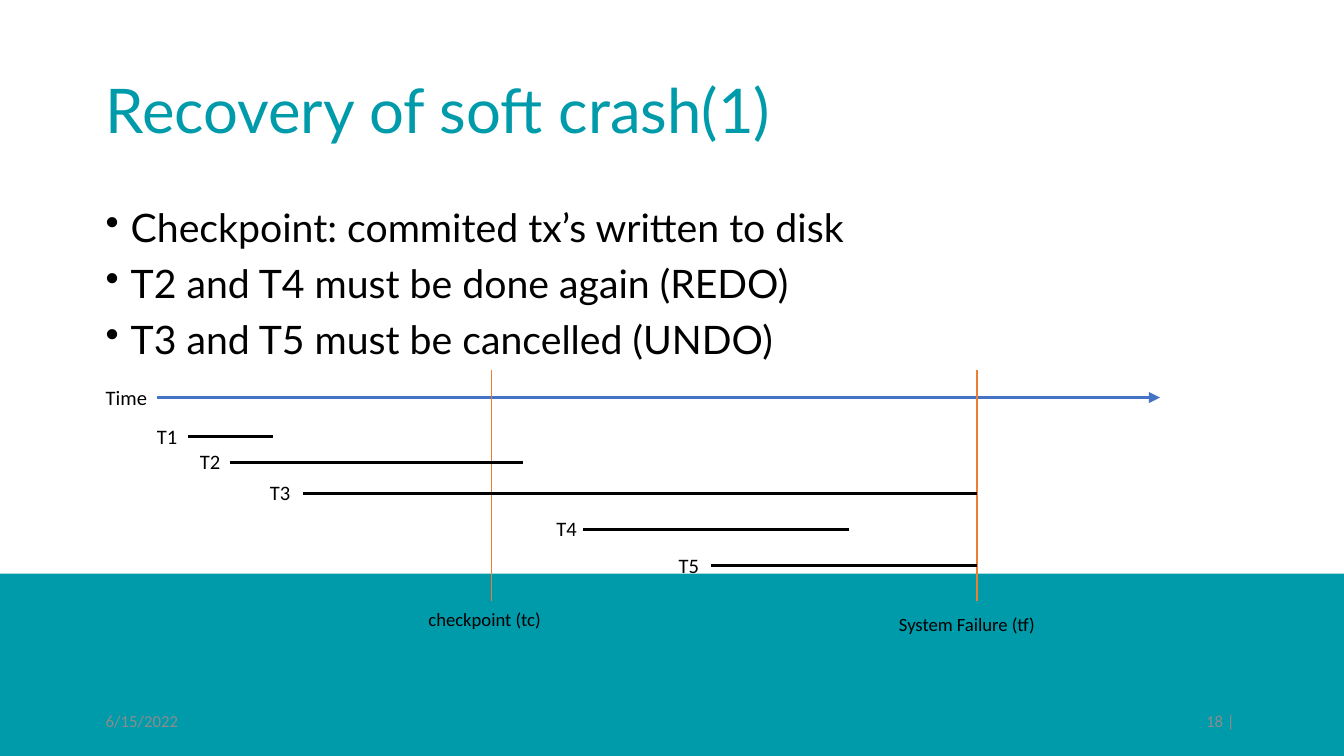
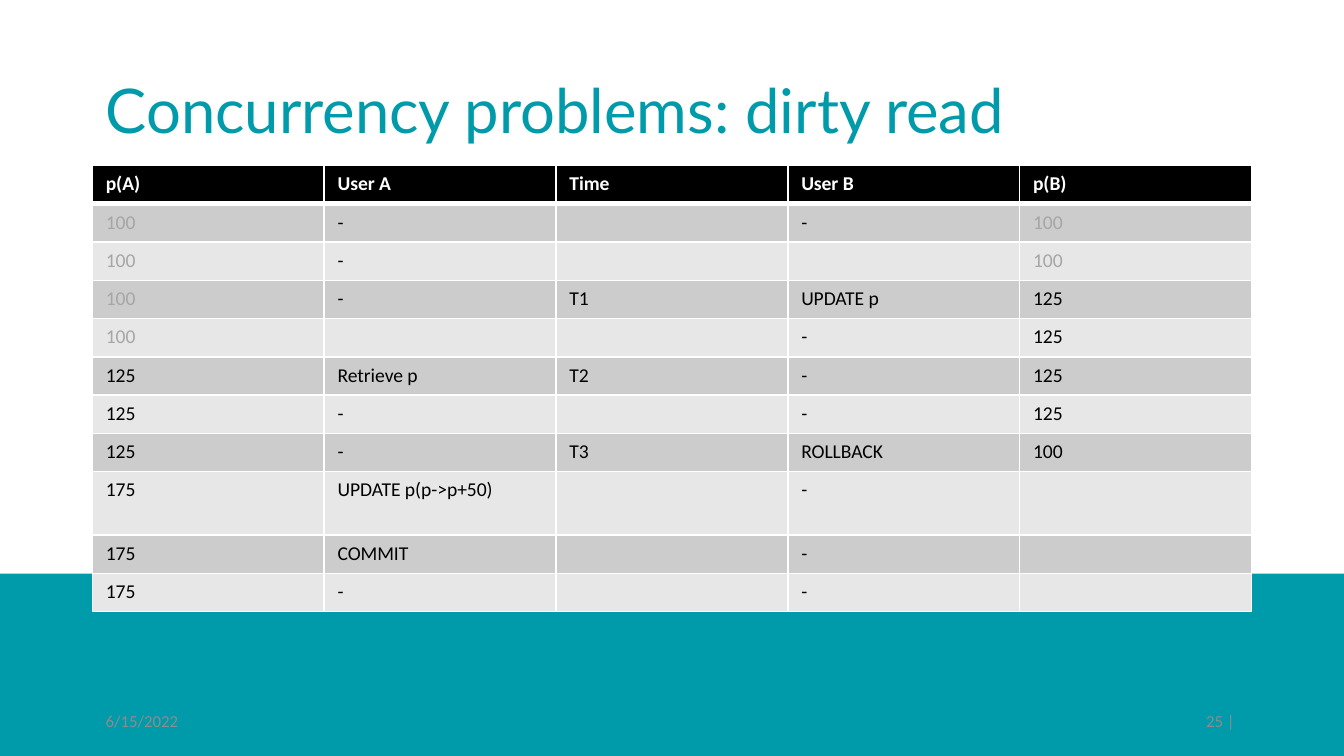
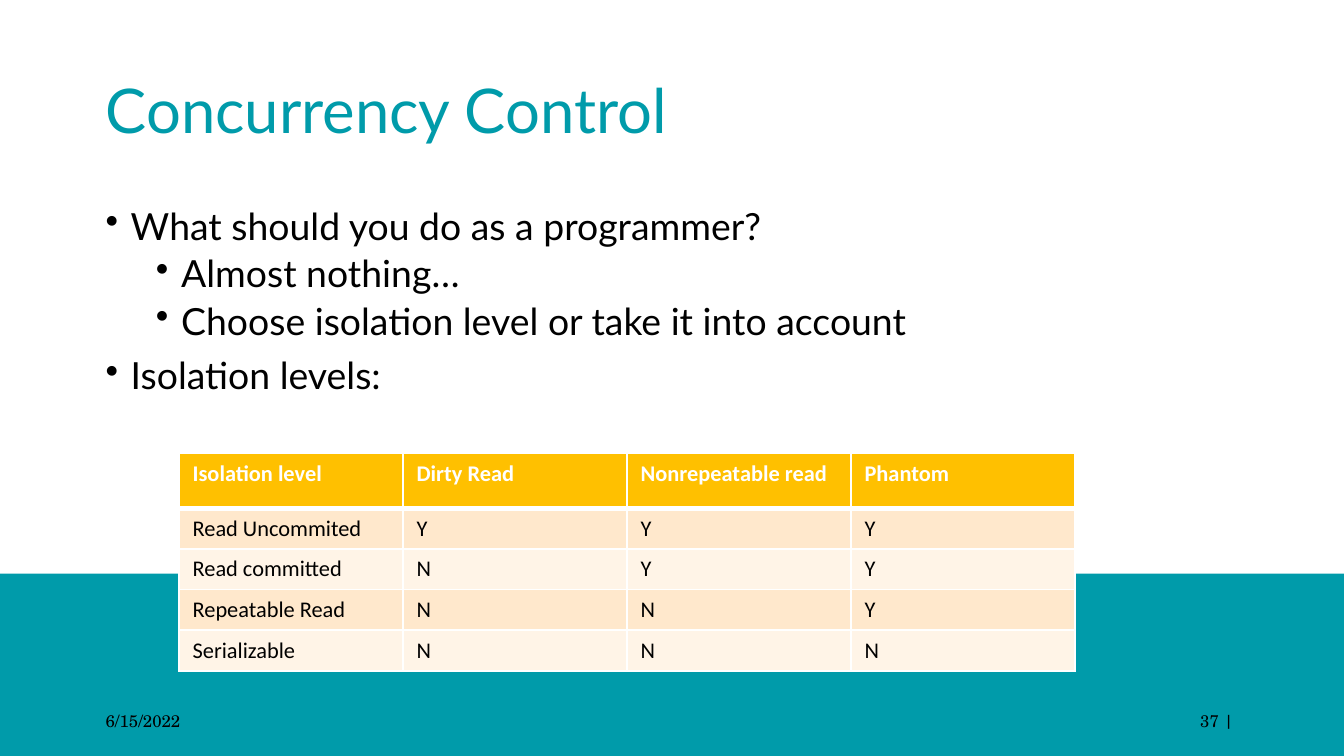
from lxml import etree
from pptx import Presentation
from pptx.dml.color import RGBColor
from pptx.enum.shapes import MSO_CONNECTOR, MSO_SHAPE
from pptx.enum.text import MSO_ANCHOR, MSO_AUTO_SIZE, PP_ALIGN
from pptx.oxml.ns import qn
from pptx.util import Pt

STRAIGHT, RECT = MSO_CONNECTOR.STRAIGHT, MSO_SHAPE.RECTANGLE
TOP, MIDDLE = MSO_ANCHOR.TOP, MSO_ANCHOR.MIDDLE
LEFT, RIGHT = PP_ALIGN.LEFT, PP_ALIGN.RIGHT
FIT = MSO_AUTO_SIZE.SHAPE_TO_FIT_TEXT

TEAL, BLACK, WHITE = "009BAA", "000000", "FFFFFF"
GREY, MUTED = "8C8C8C", "A6A6A6"
BLUE, ORANGE, AMBER = "4472C4", "ED7D31", "FFC000"
HEADING, BODY, SERIF = "Lato", "Calibri", "TeX Gyre Schola"
WIDTH, HEIGHT = 720, 405
MARGIN, CONTENT_W = 49.5, 621
BAND_TOP = 307.3
INDENT = 13.5


def rgb(hex_string):
    """Turn a hex string into a colour."""
    return RGBColor.from_string(hex_string)


def add_run(p, text, size=11, font=BODY, color=BLACK, bold=False):
    """Add one formatted run to a paragraph."""
    r = p.add_run()
    r.text = text
    r.font.size, r.font.name, r.font.bold = Pt(size), font, bold
    r.font.color.rgb = rgb(color)


def add_text(s, text, x, y, w, h, anchor=TOP, align=LEFT, wrap=True,
             spacing=None, **style):
    """Add a one-paragraph text box."""
    tf = s.shapes.add_textbox(Pt(x), Pt(y), Pt(w), Pt(h)).text_frame
    tf.word_wrap, tf.vertical_anchor = wrap, anchor
    if not wrap:
        tf.auto_size = FIT
    p = tf.paragraphs[0]
    p.alignment = align
    if spacing:
        p.line_spacing = spacing
    add_run(p, text, **style)


def add_bullets(s, items, size):
    """Add the body text from (level, text) pairs."""
    tf = s.shapes.add_textbox(Pt(MARGIN), Pt(108), Pt(CONTENT_W), Pt(257)).text_frame
    tf.word_wrap = True
    for i, (level, text) in enumerate(items):
        p = tf.add_paragraph() if i else tf.paragraphs[0]
        p.level, p.line_spacing = level, 0.9
        p.space_before = Pt(3.8 if level else 7.5)
        pPr = p._p.get_or_add_pPr()
        pPr.set("marL", str(Pt(INDENT + 27 * level)))
        pPr.set("indent", str(-Pt(INDENT)))
        etree.SubElement(pPr, qn("a:buChar"), char="•")
        add_run(p, text, size=size, font=HEADING)


def add_line(s, x1, y1, x2, y2, color=BLACK, width=1.5, arrow=False):
    """Add a straight line, with an arrowhead at its end if asked."""
    line = s.shapes.add_connector(STRAIGHT, Pt(x1), Pt(y1), Pt(x2), Pt(y2))
    line.line.color.rgb, line.line.width = rgb(color), Pt(width)
    spPr = line._element.spPr
    if arrow:
        etree.SubElement(spPr.find(qn("a:ln")), qn("a:tailEnd"), type="triangle")
    etree.SubElement(spPr, qn("a:effectLst"))


def add_border(cell, side, width):
    """Draw a white border on one side of a cell."""
    ln = etree.SubElement(cell._tc.get_or_add_tcPr(), qn(f"a:ln{side}"), w=str(Pt(width)))
    fill = etree.SubElement(ln, qn("a:solidFill"))
    etree.SubElement(fill, qn("a:srgbClr"), val=WHITE)


def fill_cell(cell, text, fill, header, size, color):
    """Set the borders, fill and text of a table cell."""
    for side in "LRTB":
        add_border(cell, side, 3 if header and side == "B" else 1)
    cell.fill.solid()
    cell.fill.fore_color.rgb = rgb(fill)
    p = cell.text_frame.paragraphs[0]
    if text:
        add_run(p, text, size=size, color=color, bold=header)
    else:
        etree.SubElement(p._p, qn("a:endParaRPr"), sz=str(int(size * 100)))


def add_grid(s, rows, x, y, w, heights, head, bands, size, muted=()):
    """Add a banded table; muted holds the (row, column) cells in pale text."""
    shape = s.shapes.add_table(len(rows), len(rows[0]), Pt(x), Pt(y), Pt(w), Pt(sum(heights)))
    table = shape.table
    for col in table.columns:
        col.width = Pt(w / len(rows[0]))
    for i, (row, height) in enumerate(zip(rows, heights)):
        table.rows[i].height = Pt(height)
        for j, text in enumerate(row):
            header = i == 0
            color = WHITE if header else MUTED if (i, j) in muted else BLACK
            fill = head if header else bands[(i - 1) % 2]
            fill_cell(table.cell(i, j), text, fill, header, size, color)


def add_base(prs, title, number, **footer):
    """Add a slide with its band, title, date and number."""
    s = prs.slides.add_slide(prs.slide_layouts[6])
    band = s.shapes.add_shape(RECT, 0, Pt(BAND_TOP), Pt(WIDTH), Pt(HEIGHT - BAND_TOP))
    band.shadow.inherit = False
    band.fill.solid()
    band.fill.fore_color.rgb = rgb(TEAL)
    band.line.fill.background()
    add_text(s, title, MARGIN, 21.5, CONTENT_W, 78.5, anchor=MIDDLE, spacing=0.9,
             size=33, font=HEADING, color=TEAL)
    for text, x, align in (("6/15/2022", MARGIN, LEFT),
                           (f"{number} | ", WIDTH - MARGIN - 162, RIGHT)):
        add_text(s, text, x, 375.3, 162, 21.6, anchor=MIDDLE, align=align, size=9, **footer)
    return s


def build_recovery(prs):
    """Build the soft crash slide with its transaction timeline."""
    s = add_base(prs, "Recovery of soft crash(1)", 18, color=GREY)
    add_bullets(s, [(0, "Checkpoint: commited tx’s written to disk"),
                    (0, "T2 and T4 must be done again (REDO)"),
                    (0, "T3 and T5 must be cancelled (UNDO)")], size=21)
    checkpoint, failure = 263.3, 523.4
    add_line(s, 84.2, 213, 621.4, 213, BLUE, arrow=True)
    add_line(s, checkpoint, 198, checkpoint, 322, ORANGE, 1)
    add_line(s, failure, 198, failure, 322, ORANGE)
    add_text(s, "Time", MARGIN, 202.5, 39.6, 20.6, wrap=False)
    transactions = [("T1", 77, 100.8, 146, 234), ("T2", 100, 123, 280, 247.7),
                    ("T3", 137.5, 162.5, failure, 264.2), ("T4", 291, 312.5, 455, 283.5),
                    ("T5", 356.5, 381, failure, 303)]
    for name, label_x, start, end, y in transactions:
        add_line(s, start, y, end, y)
        add_text(s, name, label_x, y - 10.5, 27, 20.6, wrap=False)
    add_text(s, "checkpoint (tc)", 222.5, 322, 81.4, 19.4, wrap=False, size=10)
    add_text(s, "System Failure (tf)", 474.5, 324.7, 98, 19.4, wrap=False, size=10)


def build_dirty_read(prs):
    """Build the dirty read slide with its schedule table."""
    s = add_base(prs, "Concurrency problems: dirty read", 25, color=GREY)
    rows = [("p(A)", "User A", "Time", "User B", "p(B)"),
            ("100", "-", "", "-", "100"),
            ("100", "-", "", "", "100"),
            ("100", "-", "T1", "UPDATE p", "125"),
            ("100", "", "", "-", "125"),
            ("125", "Retrieve p", "T2", "-", "125"),
            ("125", "-", "", "-", "125"),
            ("125", "-", "T3", "ROLLBACK", "100"),
            ("175", "UPDATE p(p->p+50)", "", "-", ""),
            ("175", "COMMIT", "", "-", ""),
            ("175", "-", "", "-", "")]
    heights = [34 if "UPDATE p(p->p+50)" in row else 20.5 for row in rows]
    muted = {(i, 0) for i in range(1, 5)} | {(1, 4), (2, 4)}
    add_grid(s, rows, MARGIN, 88.7, CONTENT_W, heights, BLACK, ("CCCCCC", "E7E7E7"),
             10.5, muted)


def build_control(prs):
    """Build the concurrency control slide with its isolation levels."""
    s = add_base(prs, "Concurrency Control", 37, font=SERIF)
    add_bullets(s, [(0, "What should you do as a programmer?"),
                    (1, "Almost nothing…"),
                    (1, "Choose isolation level or take it into account"),
                    (0, "Isolation levels:")], size=20)
    rows = [("Isolation level", "Dirty Read", "Nonrepeatable read", "Phantom"),
            ("Read Uncommited", *"YYY"),
            ("Read committed", *"NYY"),
            ("Repeatable Read", *"NNY"),
            ("Serializable", *"NNN")]
    add_grid(s, rows, 96, 243, 480, [29.2] + [21.8] * 4, AMBER, ("FFE8CC", "FFF4E7"), 12)


def main():
    """Build and save the slides."""
    prs = Presentation()
    prs.slide_width, prs.slide_height = Pt(WIDTH), Pt(HEIGHT)
    build_recovery(prs)
    build_dirty_read(prs)
    build_control(prs)
    prs.save("out.pptx")


if __name__ == "__main__":
    main()
